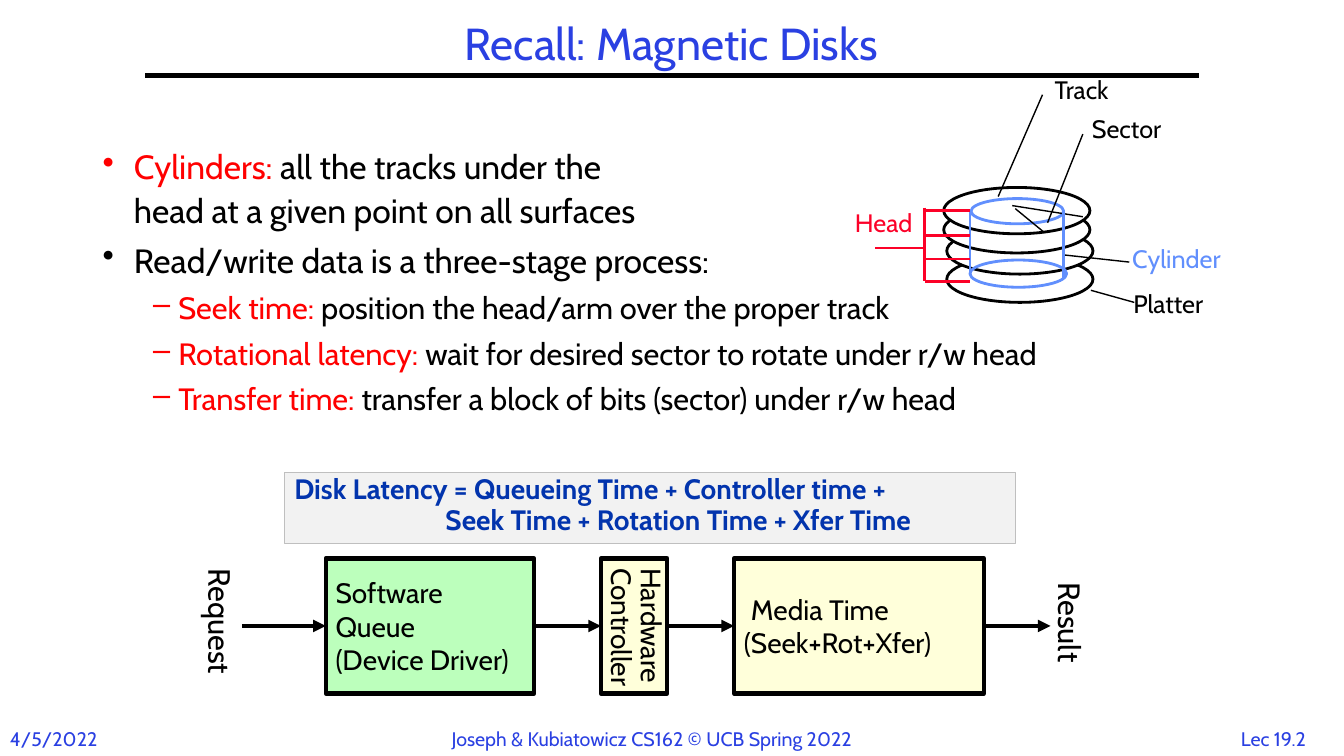
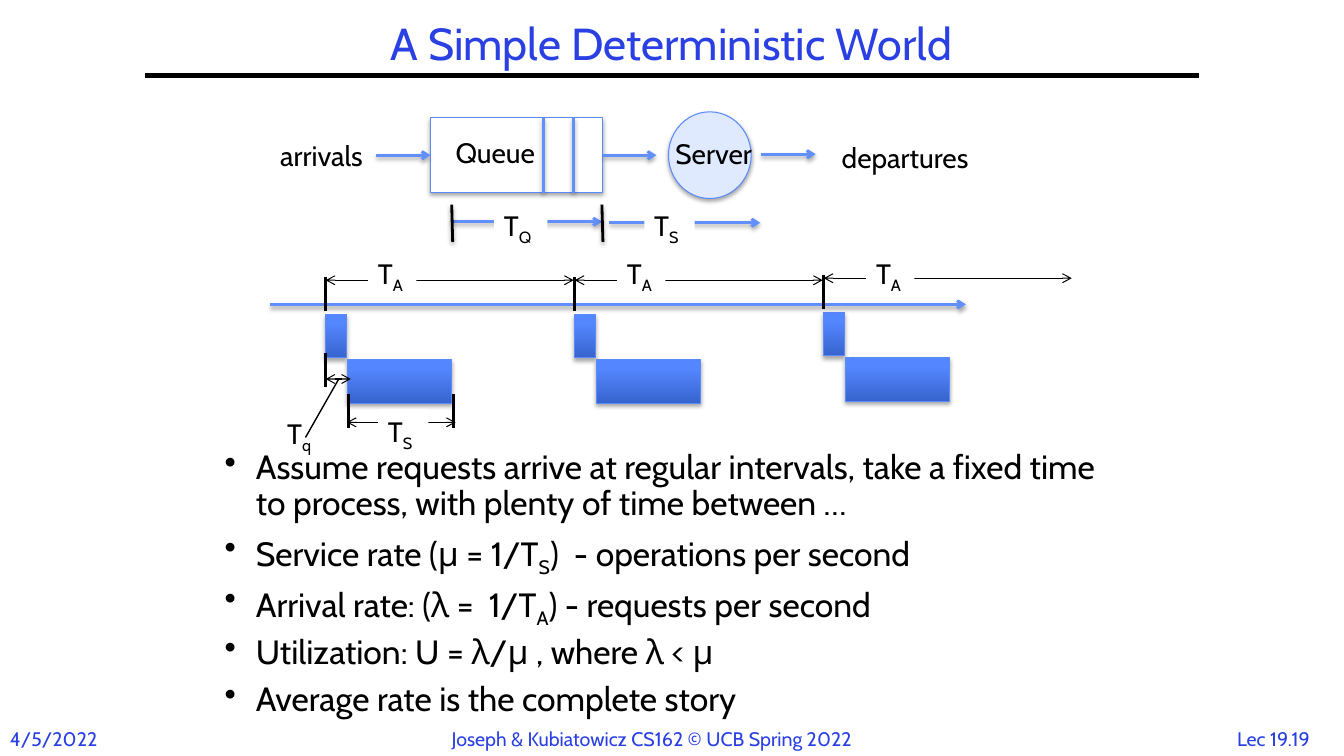
"""Build two lecture slides on disk latency and a deterministic queue."""
from lxml.etree import SubElement
from pptx import Presentation
from pptx.dml.color import RGBColor
from pptx.enum.shapes import MSO_CONNECTOR, MSO_SHAPE as Preset
from pptx.enum.text import MSO_ANCHOR as Anchor, MSO_AUTO_SIZE as AutoSize, PP_ALIGN as Align
from pptx.oxml import parse_xml
from pptx.oxml.ns import nsdecls, qn
from pptx.util import Inches, Pt

FONT = "Cabin"
BLACK = RGBColor(0x00, 0x00, 0x00)
WHITE = RGBColor(0xFF, 0xFF, 0xFF)
TITLE_BLUE = RGBColor(0x2A, 0x40, 0xE2)
FORMULA_BLUE = RGBColor(0x02, 0x34, 0xAD)
SKY = RGBColor(0x61, 0x8F, 0xFD)
OUTLINE = RGBColor(0x5B, 0x8A, 0xFB)
PALE_BLUE = RGBColor(0xDF, 0xE9, 0xFF)
BAR_DARK = RGBColor(0x37, 0x64, 0xCE)
BAR_LIGHT = RGBColor(0x54, 0x87, 0xFF)
RED = RGBColor(0xFF, 0x00, 0x00)
HEAD_RED = RGBColor(0xFC, 0x01, 0x28)
GREEN = RGBColor(0xBC, 0xFF, 0xBC)
CREAM = RGBColor(0xFF, 0xFF, 0xDA)
PALE_GRAY = RGBColor(0xF2, 0xF2, 0xF2)
GRAY = RGBColor(0xBF, 0xBF, 0xBF)
BULLETS = {"• ": (0.31, -0.31, 0), "– ": (0.75, -0.25, 1)}
SHADOW = (
    f'<a:outerShdw {nsdecls("a")} blurRad="40000" dist="23000" dir="5400000" rotWithShape="0">'
    '<a:srgbClr val="000000"><a:alpha val="35000"/></a:srgbClr></a:outerShdw>'
)


def write(shape, text, size=20, color=BLACK, bold=False, align=Align.LEFT, anchor=Anchor.TOP,
          spacing=1.0, before=0, wrap=False, grow=True, margins=(0.1, 0.05), indents=()):
    """Fill a shape; a bar ends a red lead and an underscore lowers the next letter."""
    frame = shape.text_frame
    frame.word_wrap = wrap
    frame.auto_size = AutoSize.SHAPE_TO_FIT_TEXT if grow else AutoSize.NONE
    frame.vertical_anchor = anchor
    frame.margin_left = frame.margin_right = Inches(margins[0])
    frame.margin_top = frame.margin_bottom = Inches(margins[1])
    for index, content in enumerate(text.split("\n")):
        para = frame.add_paragraph() if index else frame.paragraphs[0]
        para.alignment = align
        para.line_spacing = spacing
        if index:
            para.space_before = Pt(before)
        level = 0
        properties = para._p.get_or_add_pPr()
        if content[:2] in BULLETS:
            margin, hanging, level = BULLETS[content[:2]]
            para.level = level
            properties.set("marL", str(Inches(margin)))
            properties.set("indent", str(Inches(hanging)))
            SubElement(properties, qn("a:buChar")).set("char", content[0])
            content = content[2:]
        elif indents:
            properties.set("marL", str(Inches(indents[index])))
        lead, _, rest = content.rpartition("|")
        first, *lowered = rest.split("_")
        spans = [(lead, RED, False), (first, color, False)]
        for piece in lowered:
            spans += [(piece[0], color, True), (piece[1:], color, False)]
        for words, tint, subscript in spans:
            for part, line in enumerate(words.split("\v")):
                if part:
                    para.add_line_break()
                if not line:
                    continue
                span = para.add_run()
                span.text = line
                span.font.name = FONT
                span.font.size = Pt(size - 2 * level)
                span.font.bold = bold
                span.font.color.rgb = tint
                if subscript:
                    span._r.get_or_add_rPr().set("baseline", "-25000")


def draw_line(page, x1, y1, x2, y2, color=BLACK, width=2, head=None, tail=None):
    """Draw a straight line in inches with optional arrowheads."""
    line = page.shapes.add_connector(MSO_CONNECTOR.STRAIGHT, *map(Inches, (x1, y1, x2, y2)))
    line.line.color.rgb = color
    line.line.width = Pt(width)
    for tag, kind in (("a:headEnd", head), ("a:tailEnd", tail)):
        if kind:
            SubElement(line.line._get_or_add_ln(), qn(tag)).set("type", kind)
    SubElement(line.element.spPr, qn("a:effectLst"))
    return line


deck = Presentation()
deck.slide_width, deck.slide_height = Inches(13.33), Inches(7.5)
pages = []
for title, number in (("Recall: Magnetic Disks", "Lec 19.2"),
                      ("A Simple Deterministic World", "Lec 19.19")):
    page = deck.slides.add_slide(deck.slide_layouts[5])
    pages.append(page)
    heading = page.shapes.title
    heading.left, heading.top = Inches(1.44), Inches(0.17)
    heading.width, heading.height = Inches(10.44), Inches(0.58)
    write(heading, title, size=32, color=TITLE_BLUE, align=Align.CENTER, anchor=Anchor.MIDDLE,
          spacing=0.9, wrap=True, grow=False)
    draw_line(page, 1.44, 0.75, 11.89, 0.75, width=3)
    for left, width, text, align in (
            (0, 1.08, "4/5/2022", Align.LEFT),
            (4.38, 4.55, "Joseph & Kubiatowicz CS162 © UCB Spring 2022", Align.LEFT),
            (12.09, 1.08, number, Align.CENTER)):
        box = page.shapes.add_textbox(*map(Inches, (left, 7.16, width, 0.34)))
        write(box, text, size=14, color=TITLE_BLUE, align=align)
disk_page, queue_page = pages

body = disk_page.shapes.add_textbox(*map(Inches, (0.92, 1.36, 11.5, 3.28)))
write(body, "• Cylinders: |all the tracks under the\vhead at a given point on all surfaces\n"
            "• Read/write data is a three-stage process:\n"
            "– Seek time: |position the head/arm over the proper track\n"
            "– Rotational latency: |wait for desired sector to rotate under r/w head\n"
            "– Transfer time: |transfer a block of bits (sector) under r/w head",
      size=24, spacing=1.1, before=3.6, wrap=True, grow=False)

for left, top, width, height, color in (
        (9.39, 2.54, 1.45, 0.46, BLACK), (9.39, 2.26, 1.45, 0.46, BLACK),
        (9.36, 2.05, 1.45, 0.46, BLACK), (9.36, 1.86, 1.45, 0.46, BLACK),
        (9.62, 2.58, 0.96, 0.27, SKY), (9.63, 1.97, 0.92, 0.25, SKY)):
    disk = disk_page.shapes.add_shape(Preset.OVAL, *map(Inches, (left, top, width, height)))
    disk.shadow.inherit = False
    disk.line.color.rgb = color
    disk.line.width = Pt(2)
    if color == BLACK:
        disk.fill.solid()
        disk.fill.fore_color.rgb = WHITE
    else:
        disk.fill.background()

for ends in ((10.07, 2.07, 10.35, 2.3), (10.04, 2.04, 10.74, 2.15), (10.39, 2.21, 10.74, 1.33),
             (9.9, 1.95, 10.34, 0.94), (10.56, 2.53, 11.2, 2.6), (10.82, 2.88, 11.25, 3)):
    draw_line(disk_page, *ends, width=1)
for x, bottom in ((9.62, 2.71), (10.55, 2.76)):
    draw_line(disk_page, x, 2.09, x, bottom, color=SKY)
draw_line(disk_page, 9.17, 2.06, 9.17, 2.79, color=HEAD_RED)
draw_line(disk_page, 9.18, 2.46, 8.68, 2.46, color=HEAD_RED)
for y in (2.09, 2.34, 2.57, 2.79):
    draw_line(disk_page, 9.17, y, 9.62, y, color=HEAD_RED)

for left, top, width, text, color in (
        (10.76, 1.14, 0.87, "Sector", BLACK), (10.39, 0.75, 0.76, "Track", BLACK),
        (11.16, 2.43, 1.07, "Cylinder", SKY), (8.41, 2.07, 0.74, "Head", HEAD_RED),
        (11.17, 2.88, 0.87, "Platter", BLACK)):
    box = disk_page.shapes.add_textbox(*map(Inches, (left, top, width, 0.31)))
    write(box, text, size=18, color=color, spacing=0.85, margins=(0.07, 0.03))

stages = []
for left, width, fill, text, style in (
        (3.23, 2.07, GREEN, "Software\nQueue\n(Device Driver)", {}),
        (5.96, 0.66, CREAM, "Hardware\nController", {"spacing": 0.8, "before": 2}),
        (7.28, 2.48, CREAM, "Media Time\n(Seek+Rot+Xfer)", {"indents": (0.07, 0)})):
    stage = disk_page.shapes.add_shape(Preset.RECTANGLE, *map(Inches, (left, 5.54, width, 1.34)))
    stage.shadow.inherit = False
    stage.fill.solid()
    stage.fill.fore_color.rgb = fill
    stage.line.color.rgb = BLACK
    stage.line.width = Pt(3)
    write(stage, text, anchor=Anchor.MIDDLE, grow=False, **style)
    stages.append(stage)
software, hardware, media = stages
hardware.text_frame._txBody.bodyPr.set("vert", "eaVert")

for x1, x2, source, target in ((2.4, 3.23, None, software), (5.3, 5.96, software, hardware),
                               (6.62, 7.28, hardware, media), (9.76, 10.42, media, None)):
    arrow = draw_line(disk_page, x1, 6.21, x2, 6.21, width=3, tail="triangle")
    if source:
        arrow.begin_connect(source, 3)
    if target:
        arrow.end_connect(target, 1)

for left, width, text in ((1.51, 1.35, "Request"), (10.08, 1.07, "Result")):
    box = disk_page.shapes.add_textbox(*map(Inches, (left, 5.98, width, 0.47)))
    box.rotation = 90
    write(box, text, size=22)

formula = disk_page.shapes.add_shape(Preset.RECTANGLE, *map(Inches, (2.82, 4.69, 7.25, 0.7)))
formula.shadow.inherit = False
formula.fill.solid()
formula.fill.fore_color.rgb = PALE_GRAY
formula.line.color.rgb = GRAY
formula.line.width = Pt(0.75)
write(formula, "Disk Latency = Queueing Time + Controller time +\nSeek Time + Rotation Time + Xfer Time",
      color=FORMULA_BLUE, bold=True, spacing=0.8, before=3, wrap=True, indents=(0, 1.5))

body = queue_page.shapes.add_textbox(*map(Inches, (2.13, 4.42, 9, 3.08)))
write(body, "• Assume requests arrive at regular intervals, take a fixed time to process, "
            "with plenty of time between …\n"
            "• Service rate (μ = 1/T_S)  - operations per second\n"
            "• Arrival rate: (λ =  1/T_A) - requests per second\n"
            "• Utilization: U = λ/μ , where λ < μ\n"
            "• Average rate is the complete story",
      size=24, spacing=0.9, before=7.2, wrap=True, grow=False)

arrivals = ((3.23, 0), (5.7, 0), (8.17, 0.02))
blocks = [(Preset.RECTANGLE, 4.27, 1.17, 1.71, 0.74, WHITE),
          (Preset.OVAL, 6.63, 1.11, 0.82, 0.86, PALE_BLUE)]
for left, lift in arrivals:
    blocks += [(Preset.RECTANGLE, left, 3.12 - lift, 0.21, 0.43, None),
               (Preset.RECTANGLE, left + 0.22, 3.57 - lift, 1.03, 0.43, None)]
shaded = []
for preset, left, top, width, height, fill in blocks:
    block = queue_page.shapes.add_shape(preset, *map(Inches, (left, top, width, height)))
    block.shadow.inherit = False
    block.line.color.rgb = OUTLINE
    block.line.width = Pt(0.75)
    if fill:
        block.fill.solid()
        block.fill.fore_color.rgb = fill
    else:
        block.fill.gradient()
        block.fill.gradient_angle = 90
        dark, light = block.fill.gradient_stops
        dark.color.rgb, dark.position = BAR_DARK, 0
        light.color.rgb, light.position = BAR_LIGHT, 0.8
    shaded.append(block)
queue = shaded[0]

for x in (5.39, 5.69):
    shaded.append(draw_line(queue_page, x, 1.17, x, 1.91, color=SKY))
arrow_in = draw_line(queue_page, 3.73, 1.54, 4.27, 1.54, color=SKY, tail="arrow")
arrow_in.end_connect(queue, 1)
arrow_out = draw_line(queue_page, 5.98, 1.54, 6.51, 1.54, color=SKY, tail="arrow")
arrow_out.begin_connect(queue, 3)
shaded += [arrow_in, arrow_out]
for x1, x2, y in ((7.55, 8.09, 1.53), (4.48, 5.97, 2.2), (6.04, 7.54, 2.21), (2.68, 9.58, 3.02)):
    shaded.append(draw_line(queue_page, x1, y, x2, y, color=SKY, tail="arrow"))
for x in (4.48, 5.97):
    shaded.append(draw_line(queue_page, x, 2.03, x + 0.01, 2.4))
for shape in shaded:
    shape.element.spPr.find(qn("a:effectLst")).append(parse_xml(SHADOW))

spans_of_time = [(3.44, 4.52, 4.19), (3.23, 3.48, 3.76)]
ticks = [(3.46, 3.91), (4.5, 3.91), (3.23, 3.5)]
labels = [(4.42, 1.3, 1.04, "Queue", None), (6.6, 1.31, 1.03, "Server", None),
          (2.68, 1.33, 1.11, "arrivals", None), (8.25, 1.34, 1.54, "departures", None),
          (4.9, 2.02, 0.53, "T_Q", WHITE), (6.39, 2.02, 0.5, "T_S", WHITE),
          (3.75, 4.06, 0.5, "T_S", WHITE), (2.75, 4.08, 0.48, "T_q", None)]
for left, lift in arrivals:
    spans_of_time.append((left, left + 2.46, 2.78 - lift))
    ticks.append((left, 2.75 - lift))
    labels.append((left + 0.42, 2.5, 0.48, "T_A", WHITE))
for x1, x2, y in spans_of_time:
    draw_line(queue_page, x1, y, x2, y, width=0.75, head="arrow", tail="arrow")
for x, top in ticks:
    draw_line(queue_page, x, top, x, top + 0.34)
draw_line(queue_page, 3.36, 3.76, 3.03, 4.34, width=1)
for left, top, width, text, fill in labels:
    box = queue_page.shapes.add_textbox(*map(Inches, (left, top, width, 0.44)))
    if fill:
        box.fill.solid()
        box.fill.fore_color.rgb = fill
    write(box, text)

deck.save("out.pptx")
